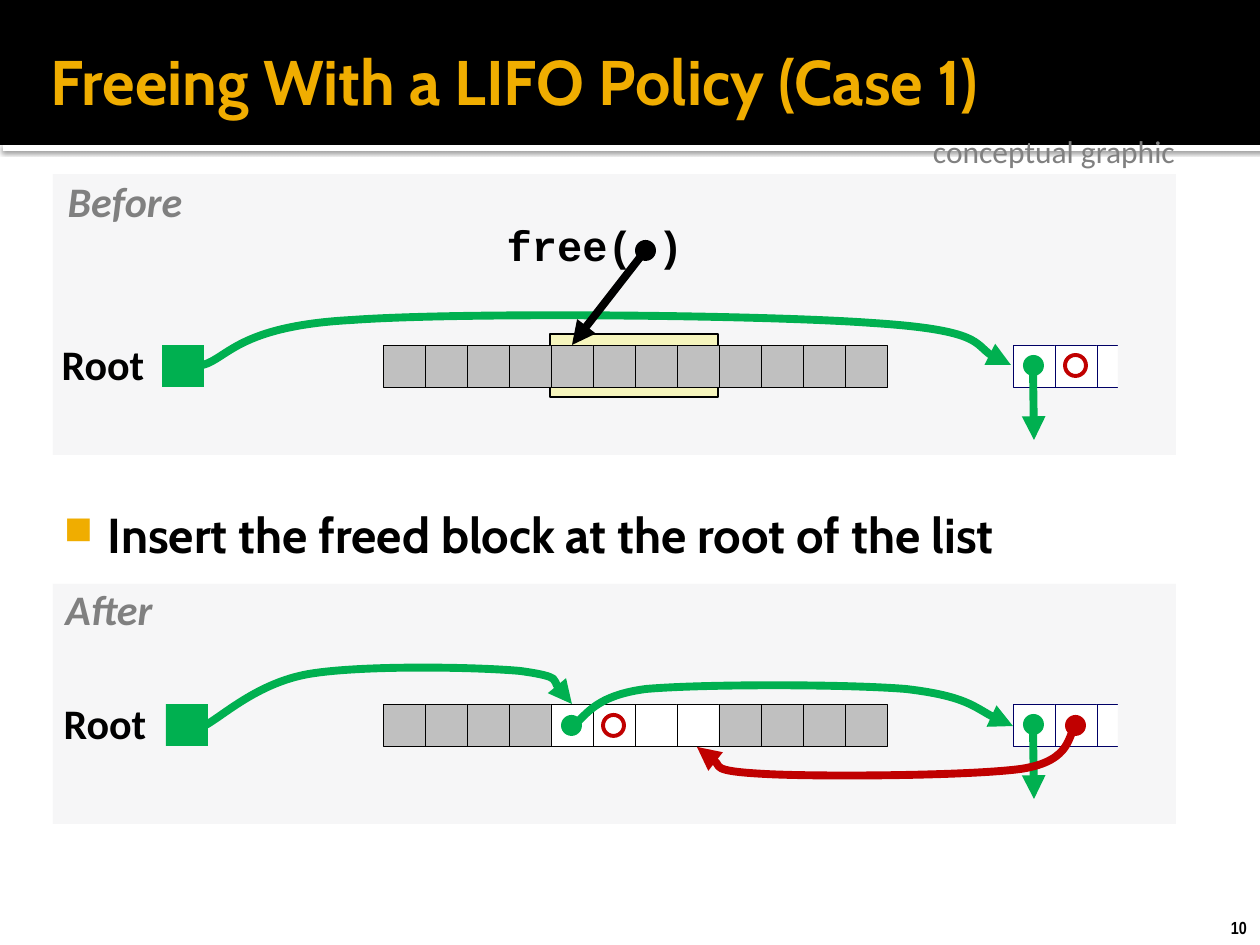
from lxml.etree import SubElement
from pptx import Presentation
from pptx.dml.color import RGBColor
from pptx.enum.shapes import MSO_CONNECTOR, MSO_SHAPE
from pptx.enum.text import MSO_ANCHOR, MSO_AUTO_SIZE, PP_ALIGN
from pptx.oxml import parse_xml
from pptx.oxml.ns import nsdecls, qn
from pptx.util import Emu, Pt

SCALE = 914400 / 126
CELL = 42
DOT = 21
HEAP_LEFT = 383
LIST_LEFT = 1013
FREED = range(4, 8)

BLACK = RGBColor(0x00, 0x00, 0x00)
WHITE = RGBColor(0xFF, 0xFF, 0xFF)
GOLD = RGBColor(0xF0, 0xAD, 0x00)
PANEL = RGBColor(0xF6, 0xF6, 0xF7)
YELLOW = RGBColor(0xF6, 0xF5, 0xBD)
SILVER = RGBColor(0xC0, 0xC0, 0xC0)
GRAY = RGBColor(0x80, 0x80, 0x80)
GREEN = RGBColor(0x00, 0xB0, 0x50)
RED = RGBColor(0xC0, 0x00, 0x00)
NAVY = RGBColor(0x00, 0x00, 0x66)


def px(value):
    return Emu(round(value * SCALE))


class SlideBuilder:
    def __init__(self, slide):
        self.slide = slide
        self.shapes = slide.shapes

    def shape(self, left, top, width, height, fill=None, line=None, weight=0.25,
              kind=MSO_SHAPE.RECTANGLE):
        shape = self.shapes.add_shape(kind, px(left), px(top), px(width), px(height))
        shape.shadow.inherit = False
        if fill is None:
            shape.fill.background()
        else:
            shape.fill.solid()
            shape.fill.fore_color.rgb = fill
        if line is None:
            shape.line.fill.background()
        else:
            shape.line.color.rgb = line
            shape.line.width = Pt(weight)
        return shape

    def header(self):
        strip = self.shape(3, 145, 1260, 6, WHITE)
        effects = strip._element.spPr.find(qn("a:effectLst"))
        effects.append(parse_xml(
            f'<a:outerShdw {nsdecls("a")} blurRad="31750" dist="10160" dir="5400000" '
            'algn="tl" rotWithShape="0"><a:srgbClr val="000000">'
            '<a:alpha val="60000"/></a:srgbClr></a:outerShdw>'))
        self.shape(0, 0, 1260, 145, BLACK)

    def dot(self, left, top, color):
        self.shape(left, top, DOT, DOT, color, kind=MSO_SHAPE.OVAL)

    def ring(self, left, top):
        self.shape(left, top, DOT, DOT, line=RED, weight=2.25, kind=MSO_SHAPE.OVAL)

    def arrow_line(self, shape, color):
        shape.line.color.rgb = color
        shape.line.width = Pt(4.5)
        SubElement(shape.line._get_or_add_ln(), qn("a:tailEnd"), type="triangle")

    def arrow(self, start, end, color):
        connector = self.shapes.add_connector(
            MSO_CONNECTOR.STRAIGHT, *map(px, start + end))
        self.arrow_line(connector, color)
        SubElement(connector._element.spPr, qn("a:effectLst"))

    def curve(self, color, start, *points):
        builder = self.shapes.build_freeform(*start, scale=SCALE)
        builder.add_line_segments(points, close=False)
        shape = builder.convert_to_shape()
        outline = next(shape._element.iter(qn("a:path")))
        segments = outline.findall(qn("a:lnTo"))
        for first in range(0, len(segments), 3):
            bezier = SubElement(outline, qn("a:cubicBezTo"))
            for segment in segments[first:first + 3]:
                bezier.append(segment[0])
                outline.remove(segment)
        shape.shadow.inherit = False
        shape.fill.background()
        self.arrow_line(shape, color)

    def text(self, words, left, top, width, height, size, color=BLACK, font="Calibri",
             bold=True, italic=False, align=PP_ALIGN.CENTER, spacing=0.9,
             insets=(6, 6, 6, 6), wrap=False, anchor=MSO_ANCHOR.TOP, bullet=False):
        box = self.shapes.add_textbox(px(left), px(top), px(width), px(height))
        frame = box.text_frame
        frame.word_wrap = wrap
        frame.auto_size = MSO_AUTO_SIZE.NONE if wrap else MSO_AUTO_SIZE.SHAPE_TO_FIT_TEXT
        frame.vertical_anchor = anchor
        (frame.margin_left, frame.margin_top,
         frame.margin_right, frame.margin_bottom) = map(px, insets)
        paragraph = frame.paragraphs[0]
        paragraph.text = words
        paragraph.alignment = align
        paragraph.line_spacing = spacing
        if bullet:
            self.bullet(paragraph)
        paragraph.font.name = font
        paragraph.font.size = Pt(size)
        paragraph.font.bold = bold
        paragraph.font.italic = italic
        paragraph.font.color.rgb = color

    def bullet(self, paragraph):
        properties = paragraph._p.get_or_add_pPr()
        properties.set("marL", str(px(60)))
        properties.set("indent", str(px(-44)))
        color = SubElement(properties, qn("a:buClr"))
        SubElement(color, qn("a:srgbClr"), val=str(GOLD))
        SubElement(properties, qn("a:buSzPct"), val="80000")
        SubElement(properties, qn("a:buChar"), char="■")

    def heap(self, top, freed_color):
        for index in range(12):
            color = freed_color if index in FREED else SILVER
            self.shape(HEAP_LEFT + index * CELL, top, CELL, CELL, color, BLACK)

    def free_list(self, top):
        for index in range(3):
            self.shape(LIST_LEFT + index * CELL, top, CELL, CELL, WHITE, NAVY)
        self.shape(1118, top - 11, CELL, 63, PANEL)
        self.dot(1023, top + 10, GREEN)
        self.arrow((1033, top + 21), (1034, top + 95), GREEN)

    def root(self, top, text_left, square_left):
        self.shape(square_left, top, CELL, CELL, GREEN)
        self.text("Root", text_left, top - 7, 96, 59, 24)


def main():
    presentation = Presentation()
    presentation.slide_width = px(1260)
    presentation.slide_height = px(945)
    builder = SlideBuilder(presentation.slides.add_slide(presentation.slide_layouts[6]))
    before, after = 345, 704

    builder.header()
    builder.text("10", 1218, 911, 43, 34, 10, font="Arial Narrow", align=PP_ALIGN.LEFT,
                 spacing=1.0, insets=(13, 6, 13, 6))
    builder.shape(53, 584, 1123, 240, PANEL)
    builder.shape(53, 174, 1123, 281, PANEL)
    builder.text("Freeing With a LIFO Policy (Case 1)", 38, 32, 1201, 108, 36, GOLD, "Cabin",
                 align=PP_ALIGN.LEFT, spacing=0.87, insets=(13, 6, 6, 6), wrap=True,
                 anchor=MSO_ANCHOR.MIDDLE)
    builder.text("Insert the freed block at the root of the list", 40, 496, 1145, 77, 28,
                 font="Cabin", align=PP_ALIGN.LEFT, spacing=0.95, insets=(8, 13, 13, 6),
                 wrap=True, bullet=True)

    builder.shape(550, 334, 168, 63, YELLOW, BLACK, 0.75)
    builder.curve(GREEN, (203, 365), (228, 358), (239, 326), (352, 320),
                  (462, 312), (762, 315), (872, 323), (982, 330), (982, 357), (1011, 365))
    builder.heap(before, SILVER)
    builder.root(before, 55, 162)
    builder.free_list(before)
    builder.ring(1065, before + 10)
    builder.text("free( )", 500, 219, 190, 59, 24, font="Courier New")
    builder.dot(635, 240, BLACK)
    builder.arrow((645, 251), (572, before), BLACK)

    builder.heap(after, WHITE)
    builder.root(after, 57, 166)
    builder.free_list(after)
    builder.dot(561, after + 11, GREEN)
    builder.ring(603, after + 11)
    builder.dot(1065, after + 11, RED)
    builder.curve(GREEN, (572, 726), (585, 719), (591, 696), (646, 689),
                  (702, 684), (845, 684), (906, 689), (966, 696), (990, 718), (1013, 726))
    builder.curve(RED, (1076, 727), (1067, 733), (1074, 761), (1021, 769),
                  (969, 776), (818, 777), (764, 774), (709, 771), (711, 752), (697, 747))
    builder.curve(GREEN, (204, 726), (222, 717), (257, 683), (309, 674),
                  (362, 665), (476, 667), (520, 671), (564, 677), (562, 698), (572, 704))

    builder.text("Before", 60, 175, 130, 59, 24, GRAY, italic=True)
    builder.text("After", 58, 583, 102, 59, 24, GRAY, italic=True)
    builder.text("conceptual graphic", 920, 126, 273, 50, 18, GRAY, bold=False,
                 align=PP_ALIGN.LEFT, spacing=1.0, insets=(13, 6, 13, 6))
    presentation.save("out.pptx")


if __name__ == "__main__":
    main()
